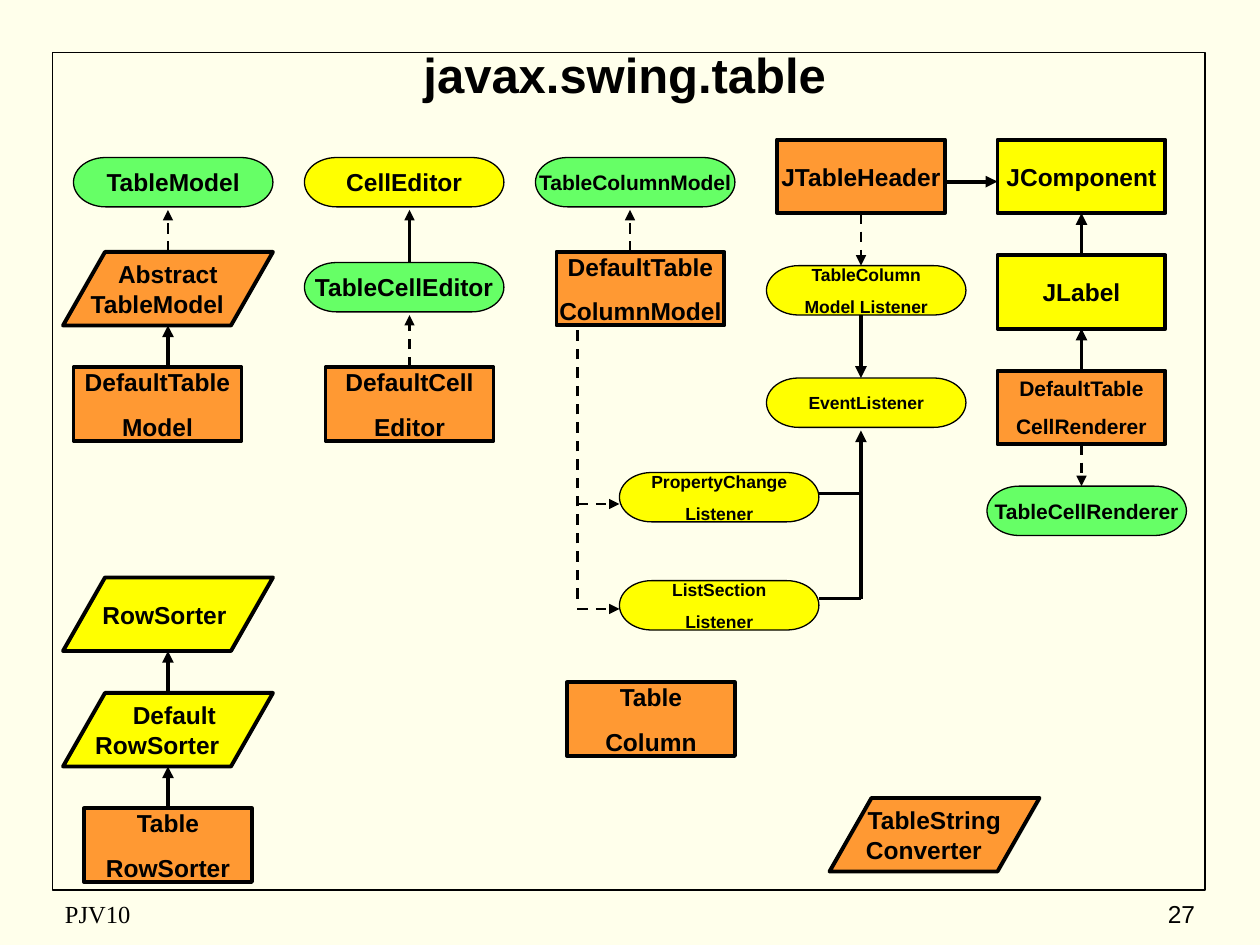
from dataclasses import dataclass

from lxml import etree
from pptx import Presentation
from pptx.dml.color import RGBColor
from pptx.enum.dml import MSO_LINE
from pptx.enum.shapes import MSO_CONNECTOR, MSO_SHAPE
from pptx.enum.text import MSO_ANCHOR, PP_ALIGN
from pptx.oxml.ns import qn
from pptx.util import Inches, Pt

BOX = MSO_SHAPE.RECTANGLE
PILL = MSO_SHAPE.FLOWCHART_TERMINATOR
SLANT = MSO_SHAPE.FLOWCHART_DATA
STRAIGHT = MSO_CONNECTOR.STRAIGHT
DASH = MSO_LINE.DASH
MIDDLE = MSO_ANCHOR.MIDDLE
LEFT, CENTER, RIGHT = PP_ALIGN.LEFT, PP_ALIGN.CENTER, PP_ALIGN.RIGHT

COLS, ROWS = 120, 90  # twelve grid cells to the inch


@dataclass(frozen=True)
class Theme:
    paper: str = "FFFFEB"
    ink: str = "000000"
    orange: str = "FF9933"
    yellow: str = "FFFF00"
    green: str = "66FF66"
    sans: str = "Arial"
    serif: str = "Times New Roman"
    title: int = 28
    body: int = 14
    small: int = 12
    tiny: int = 10
    thin: float = 0.75
    frame: float = 1
    fine: float = 1.5
    bold: float = 2.25
    gap: float = 0.62  # space between lines, as a share of type size


THEME = Theme()
FORMS = {  # width, height, line width
    BOX: (16, 7, THEME.bold),
    PILL: (19, 4.7, THEME.thin),
    SLANT: (20, 7, THEME.bold),
}


@dataclass(frozen=True)
class Node:
    form: int
    x: float
    y: float
    fill: str
    text: str
    size: int = THEME.body
    shift: float = 0  # extra right inset
    lead: float = 0  # left margin of the first line


@dataclass(frozen=True)
class Link:
    x1: float
    y1: float
    x2: float
    y2: float
    width: float = THEME.bold
    dash: bool = False
    arrow: bool = True


ORANGE, YELLOW, GREEN = THEME.orange, THEME.yellow, THEME.green
SMALL, TINY = THEME.small, THEME.tiny

NODES = [
    Node(PILL, 7, 15, GREEN, "TableModel"),
    Node(SLANT, 6, 24, ORANGE, "Abstract\nTableModel", shift=2, lead=2),
    Node(BOX, 7, 35, ORANGE, "DefaultTable\nModel"),
    Node(SLANT, 6, 55, YELLOW, "RowSorter", shift=0.65),
    Node(SLANT, 6, 66, YELLOW, "Default\nRowSorter", shift=2, lead=3.25),
    Node(BOX, 8, 77, ORANGE, "Table\nRowSorter"),
    Node(PILL, 29, 15, YELLOW, "CellEditor"),
    Node(PILL, 29, 25, GREEN, "TableCellEditor"),
    Node(BOX, 31, 35, ORANGE, "DefaultCell\nEditor"),
    Node(PILL, 51, 15, GREEN, "TableColumnModel", SMALL),
    Node(BOX, 53, 24, ORANGE, "DefaultTable\nColumnModel"),
    Node(PILL, 59, 45, YELLOW, "PropertyChange\nListener", TINY),
    Node(PILL, 59, 55.3, YELLOW, "ListSection\nListener", TINY),
    Node(BOX, 54, 65, ORANGE, "Table\nColumn"),
    Node(BOX, 74, 13.3, ORANGE, "JTableHeader"),
    Node(PILL, 73, 25.3, YELLOW, "TableColumn\nModel Listener", TINY),
    Node(PILL, 73, 36, YELLOW, "EventListener", TINY),
    Node(SLANT, 79, 76, ORANGE, "TableString\nConverter", shift=2, lead=2),
    Node(BOX, 95, 13.3, YELLOW, "JComponent"),
    Node(BOX, 95, 24.3, YELLOW, "JLabel"),
    Node(BOX, 95, 35.3, ORANGE, "DefaultTable\nCellRenderer", SMALL),
    Node(PILL, 94, 46.3, GREEN, "TableCellRenderer", SMALL),
]

LINKS = [
    Link(16, 24, 16, 20, THEME.fine, True),
    Link(16, 35, 16, 31),
    Link(16, 66, 16, 62),
    Link(16, 77, 16, 73),
    Link(39, 25, 39, 20, THEME.fine),
    Link(39, 35, 39, 30, THEME.fine, True),
    Link(60, 24, 60, 20, THEME.fine, True),
    Link(55, 57, 55, 31, THEME.fine, True, False),
    Link(55, 48, 59, 48, THEME.fine, True),
    Link(55, 58, 59, 58, THEME.fine, True),
    Link(82, 20.3, 82, 25.3, THEME.fine, True),
    Link(82, 30, 82, 36),
    Link(82, 57, 82, 41),
    Link(78, 47, 82, 47, arrow=False),
    Link(78, 57, 82, 57, arrow=False),
    Link(90, 17.3, 95, 17.3),
    Link(103, 24.3, 103, 20.3),
    Link(103, 35.3, 103, 31.3),
    Link(103, 42.3, 103, 46.3, THEME.fine, True),
]


def cells(*spans: float) -> list[int]:
    """Turn grid cells into slide lengths."""
    return [Inches(span / 12) for span in spans]


def color(code: str) -> RGBColor:
    return RGBColor.from_string(code)


def write(shape, text: str, *, size: int = THEME.body, font: str = THEME.sans,
          bold: bool = True, align=CENTER, wrap: bool = False, gap: float = 0,
          shift: float = 0, lead: float = 0) -> None:
    frame = shape.text_frame
    frame.word_wrap = wrap
    frame.vertical_anchor = MIDDLE
    frame.margin_left = Inches(0.1)
    frame.margin_right = Inches(0.1) + cells(shift)[0]
    frame.margin_top = frame.margin_bottom = Inches(0.05)
    for row, line in enumerate(text.split("\n")):
        para = frame.paragraphs[0] if row == 0 else frame.add_paragraph()
        para.alignment = align
        if row == 0 and lead:
            para._p.get_or_add_pPr().set("marL", str(cells(lead)[0]))
        if row and gap:
            para.space_before = Pt(gap)
        run = para.add_run()
        run.text = line
        run.font.name, run.font.size, run.font.bold = font, Pt(size), bold
        run.font.color.rgb = color(THEME.ink)


def label(slide, place: tuple, text: str, **style) -> None:
    write(slide.shapes.add_textbox(*cells(*place)), text, wrap=True, **style)


def draw(slide, form, place: tuple, width: float, fill: str = ""):
    shape = slide.shapes.add_shape(form, *cells(*place))
    shape.shadow.inherit = False
    shape.line.color.rgb = color(THEME.ink)
    shape.line.width = Pt(width)
    if fill:
        shape.fill.solid()
        shape.fill.fore_color.rgb = color(fill)
    else:
        shape.fill.background()
    return shape


def add_node(slide, node: Node) -> None:
    wide, high, width = FORMS[node.form]
    shape = draw(slide, node.form, (node.x, node.y, wide, high), width, node.fill)
    gap = 0 if node.form == SLANT else node.size * THEME.gap
    write(shape, node.text, size=node.size, gap=gap,
          shift=node.shift, lead=node.lead)


def add_link(slide, link: Link) -> None:
    ends = cells(link.x1, link.y1, link.x2, link.y2)
    wire = slide.shapes.add_connector(STRAIGHT, *ends)
    wire.line.color.rgb = color(THEME.ink)
    wire.line.width = Pt(link.width)
    if link.dash:
        wire.line.dash_style = DASH
    if link.arrow:
        etree.SubElement(wire.line._get_or_add_ln(), qn("a:tailEnd"), type="triangle")
    etree.SubElement(wire._element.spPr, qn("a:effectLst"))


def main() -> None:
    deck = Presentation()
    deck.slide_width, deck.slide_height = cells(COLS, ROWS)
    slide = deck.slides.add_slide(deck.slide_layouts[6])
    slide.background.fill.solid()
    slide.background.fill.fore_color.rgb = color(THEME.paper)

    draw(slide, BOX, (5, 5, 109.8, 79.8), THEME.frame)
    label(slide, (6, 3, 107, 8), "javax.swing.table", size=THEME.title)
    label(slide, (5, 85, 38, 4), "PJV10", font=THEME.serif, bold=False, align=LEFT)
    label(slide, (90, 85, 25, 4), "27", bold=False, align=RIGHT)
    for node in NODES:
        add_node(slide, node)
    for link in LINKS:
        add_link(slide, link)
    deck.save("out.pptx")


if __name__ == "__main__":
    main()
